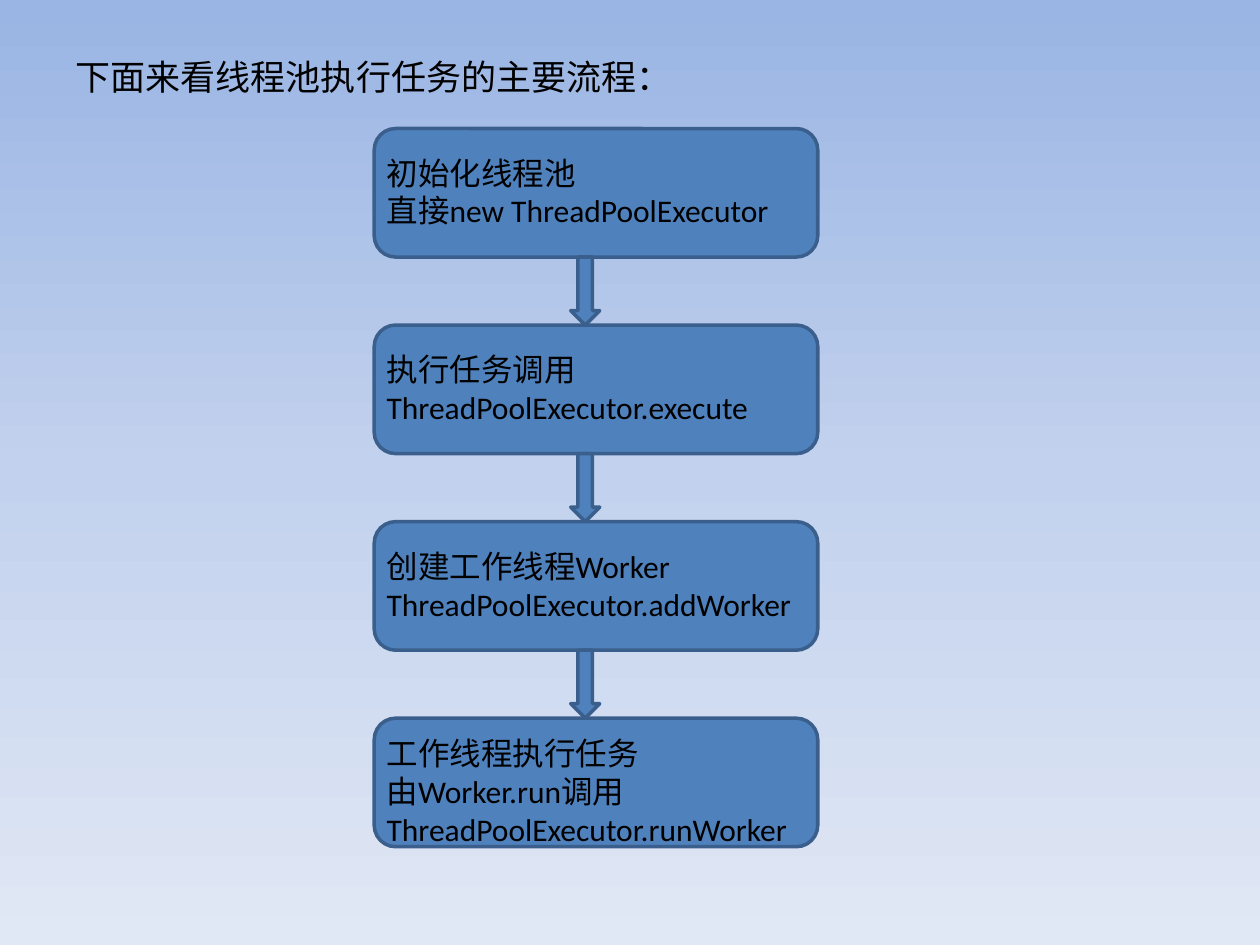
from copy import deepcopy

from pptx import Presentation
from pptx.dml.color import RGBColor
from pptx.enum.shapes import MSO_SHAPE
from pptx.enum.text import MSO_ANCHOR, MSO_AUTO_SIZE, PP_ALIGN
from pptx.util import Inches, Pt

# Content
HEADING = "下面来看线程池执行任务的主要流程："
STEPS = [
    ("初始化线程池", "直接new ThreadPoolExecutor"),
    ("执行任务调用", "ThreadPoolExecutor.execute"),
    ("创建工作线程Worker", "ThreadPoolExecutor.addWorker"),
    ("工作线程执行任务", "由Worker.run调用ThreadPoolExecutor.runWorker"),
]
LONG_STEP = len(STEPS) - 1  # its second paragraph wraps to a third line

# Look and grid, in inches
FONT = "Calibri"
BLACK, FILL, LINE = "000000", "4F81BD", "3A5F8C"
BACKGROUND = [(0, "9AB5E4"), (0.5, "C2D1ED"), (1, "E1E8F5")]
LEFT, TOP, PITCH = 2.97, 1.02, 1.56
BOX_WIDTH, BOX_HEIGHT = 3.52, 1.02
TEXT_WIDTH = 3.44
ARROW_LEFT, ARROW_WIDTH = 4.53, 0.23


def color(value):
    return RGBColor.from_string(value)


def add_block(slide, kind, left, top, width, height):
    shape = slide.shapes.add_shape(
        kind, Inches(left), Inches(top), Inches(width), Inches(height))
    shape.shadow.inherit = False
    shape.fill.solid()
    shape.fill.fore_color.rgb = color(FILL)
    shape.line.color.rgb = color(LINE)
    shape.line.width = Pt(2)


def add_run(paragraph, text, size):
    paragraph.alignment = PP_ALIGN.LEFT
    run = paragraph.add_run()
    run.text = text
    run.font.name = FONT
    run.font.size = Pt(size)
    run.font.color.rgb = color(BLACK)


def paint_background(slide):
    fill = slide.background.fill
    fill.gradient()
    fill.gradient_angle = 270
    stop_list = fill._fill._gradFill.gsLst
    stop_list.append(deepcopy(stop_list[0]))
    for stop, (position, value) in zip(fill.gradient_stops, BACKGROUND):
        stop.position = position
        stop.color.rgb = color(value)


def add_heading(slide):
    title = slide.shapes.title
    title.left, title.top = Inches(0.5), Inches(0.39)
    title.width, title.height = Inches(9), Inches(0.63)
    frame = title.text_frame
    frame.auto_size = MSO_AUTO_SIZE.NONE
    frame.vertical_anchor = MSO_ANCHOR.TOP
    add_run(frame.paragraphs[0], HEADING, 20)


def add_step_text(slide, lines, top, height):
    box = slide.shapes.add_textbox(
        Inches(LEFT), Inches(top), Inches(TEXT_WIDTH), Inches(height))
    frame = box.text_frame
    frame.word_wrap = True
    frame.auto_size = MSO_AUTO_SIZE.SHAPE_TO_FIT_TEXT
    for index, line in enumerate(lines):
        paragraph = frame.add_paragraph() if index else frame.paragraphs[0]
        add_run(paragraph, line, 18)


def main():
    presentation = Presentation()
    presentation.slide_width, presentation.slide_height = Inches(10), Inches(7.5)
    slide = presentation.slides.add_slide(presentation.slide_layouts[5])
    paint_background(slide)
    add_heading(slide)

    # Steps from top to bottom, each led to by an arrow in the gap above
    gap = PITCH - BOX_HEIGHT
    for index, lines in enumerate(STEPS):
        top = TOP + index * PITCH
        add_block(slide, MSO_SHAPE.ROUNDED_RECTANGLE,
                  LEFT, top, BOX_WIDTH, BOX_HEIGHT)
        offset, height = (0.08, 1.01) if index == LONG_STEP else (0.15, 0.71)
        add_step_text(slide, lines, top + offset, height)
        if index:
            add_block(slide, MSO_SHAPE.DOWN_ARROW,
                      ARROW_LEFT, top - gap, ARROW_WIDTH, gap)

    presentation.save("out.pptx")


if __name__ == "__main__":
    main()
